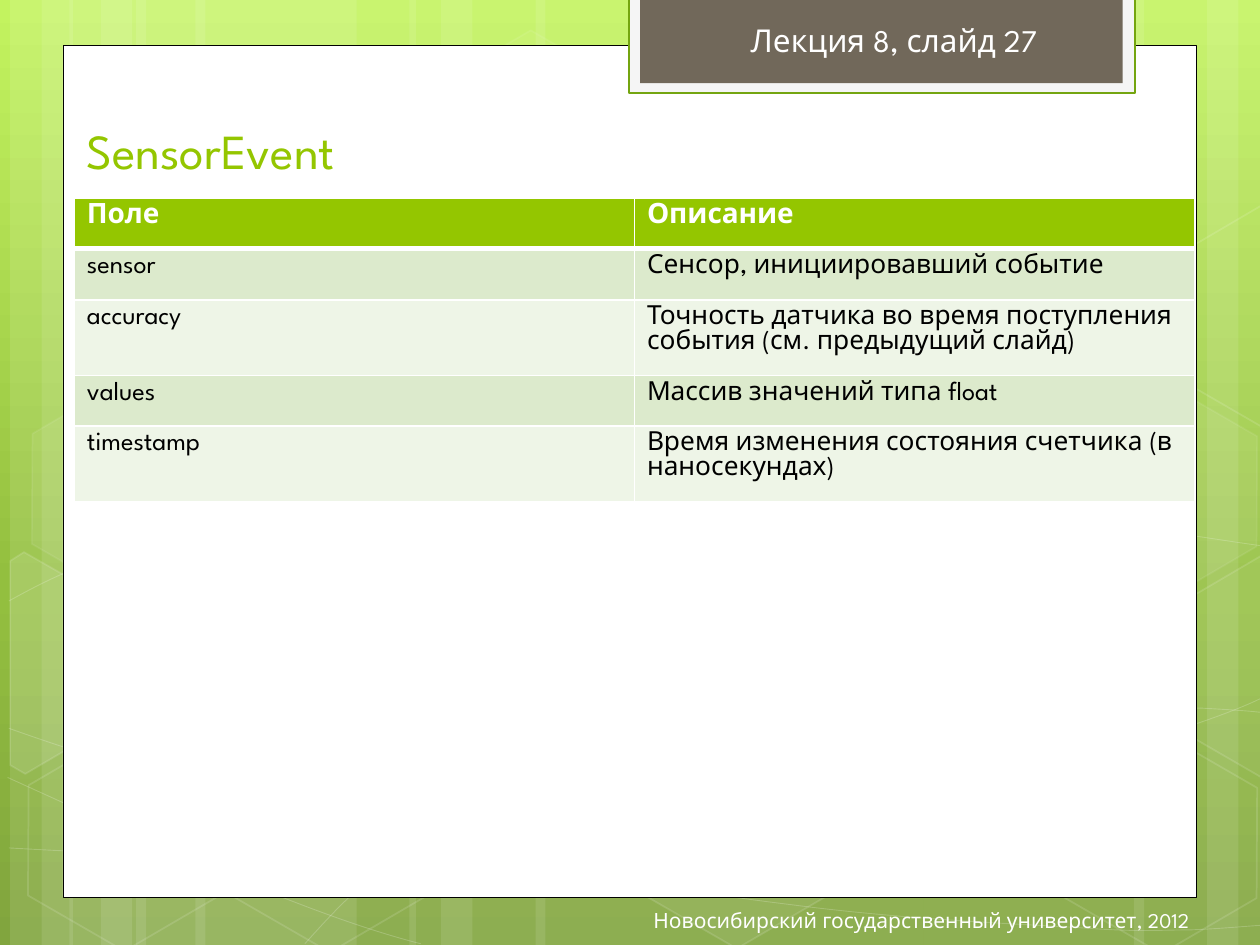
from copy import deepcopy
from math import cos, radians, sin

from lxml import etree
from pptx import Presentation
from pptx.dml.color import RGBColor
from pptx.enum.shapes import MSO_SHAPE
from pptx.enum.text import MSO_ANCHOR, MSO_AUTO_SIZE, PP_ALIGN
from pptx.oxml import parse_xml
from pptx.oxml.ns import nsdecls, qn
from pptx.util import Inches, Pt

RECTANGLE, HEXAGON = MSO_SHAPE.RECTANGLE, MSO_SHAPE.HEXAGON
TOP, MIDDLE, BOTTOM = MSO_ANCHOR.TOP, MSO_ANCHOR.MIDDLE, MSO_ANCHOR.BOTTOM
LEFT, RIGHT = PP_ALIGN.LEFT, PP_ALIGN.RIGHT
FONT = "League Spartan"
WHITE = RGBColor(0xFF, 0xFF, 0xFF)
BLACK = RGBColor(0, 0, 0)
GREEN = RGBColor(0x94, 0xC6, 0x00)
TAB_EDGE = RGBColor(0x74, 0xA5, 0x10)
TAB_PAPER = RGBColor(0xF5, 0xF5, 0xF5)
TAB_BROWN = RGBColor(0x71, 0x68, 0x5A)
BANDS = [RGBColor(0xDC, 0xEA, 0xCC), RGBColor(0xEE, 0xF5, 0xE7)]
BACKDROP = [(0, RGBColor(0xC3, 0xF3, 0x5F)),
            (0.62, RGBColor(0x93, 0xBF, 0x3F)),
            (1, RGBColor(0x81, 0xA5, 0x3E))]


def paint(shape, fill=None, fill_alpha=100, line=None, width=1, line_alpha=100):
    """Set fill and outline; alphas are percentages, None means no paint."""
    shape.shadow.inherit = False
    for target, color, alpha in ((shape.fill, fill, fill_alpha),
                                 (shape.line.fill, line, line_alpha)):
        if color is None:
            target.background()
            continue
        target.solid()
        target.fore_color.rgb = color
        if alpha < 100:
            props = shape.element.spPr
            parent = props if target is shape.fill else props.find(qn("a:ln"))
            rgb = parent.find(qn("a:solidFill")).find(qn("a:srgbClr"))
            etree.SubElement(rgb, qn("a:alpha"), val=str(alpha * 1000))
    if line is not None:
        shape.line.width = Pt(width)


def outline(points, closed):
    corners = [(Inches(x), Inches(y)) for x, y in points]
    builder = shapes.build_freeform(*corners[0])
    builder.add_line_segments(corners[1:], close=closed)
    return builder.convert_to_shape()


prs = Presentation()
prs.slide_width, prs.slide_height = Inches(10), Inches(7.5)
slide = prs.slides.add_slide(prs.slide_layouts[6])
shapes = slide.shapes

# Backdrop gradient, top to bottom
backdrop = slide.background.fill
backdrop.gradient()
backdrop.gradient_angle = 270
stop_list = next(slide.element.iter(qn("a:gsLst")))
stop_list.insert(1, deepcopy(stop_list[0]))
for stop, (position, color) in zip(backdrop.gradient_stops, BACKDROP):
    stop.position = position
    stop.color.rgb = color

# Translucent vertical stripes
STRIPES = [(1.08, 1.75), (0.08, 0.5), (0.33, 0.83), (1.55, 1.75), (0.55, 0.5), (0.8, 0.83),
           (7.33, 1.75), (9.58, 0.5), (9, 0.83), (4.25, 3.08), (3.25, 0.5), (3.5, 0.83)]
for left, width in STRIPES:
    stripe = shapes.add_shape(RECTANGLE, Inches(left), 0, Inches(width), prs.slide_height)
    paint(stripe, WHITE, 10)

# Thin waves: a start point, then two control points and an end point per bend
WAVES = [
    [(0.07, 6.73), (0.61, 6.76), (1.15, 6.79), (1.9, 6.78), (2.65, 6.77), (3.58, 6.75),
     (4.58, 6.65), (5.58, 6.55), (7, 6.36), (7.92, 6.17), (8.83, 5.98), (9.77, 5.68),
     (10.07, 5.51)],
    [(0.07, 4.77), (0.36, 4.61), (0.65, 4.46), (1.21, 4.31), (1.78, 4.16), (2.59, 3.94),
     (3.47, 3.87), (4.36, 3.8), (5.44, 3.79), (6.54, 3.87), (7.64, 3.95), (9.47, 4.26),
     (10.07, 4.34)],
    [(0.06, 6.17), (1.27, 6.72), (2.47, 7.27), (3.34, 7.49)],
    [(0.07, 5.78), (0.38, 5.89), (0.7, 6), (1.28, 6.16), (1.86, 6.31), (2.73, 6.56),
     (3.57, 6.73), (4.4, 6.9), (5.45, 7.08), (6.28, 7.18), (7.11, 7.29), (8, 7.33),
     (8.53, 7.36), (9.05, 7.4), (9.19, 7.38), (9.45, 7.38), (9.71, 7.37), (9.89, 7.35),
     (10.07, 7.34)],
    [(2.42, 7.49), (2.6, 7.29), (2.78, 7.09), (3.02, 6.91), (3.26, 6.73), (3.6, 6.53),
     (3.88, 6.39), (4.16, 6.25), (4.33, 6.19), (4.7, 6.09), (5.06, 5.99), (5.73, 5.85),
     (6.08, 5.78), (6.44, 5.71), (6.49, 5.71), (6.8, 5.69), (7.11, 5.66), (7.6, 5.63),
     (7.94, 5.62), (8.29, 5.61), (8.86, 5.62), (8.86, 5.62), (9.08, 5.62), (9.31, 5.62),
     (9.53, 5.62), (9.71, 5.63), (9.88, 5.64), (9.97, 5.65), (10.06, 5.66), (10.03, 5.65),
     (10.06, 5.66)],
]
for points in WAVES:
    wave = outline(points, False)
    # Merge every three straight segments into one Bézier bend
    segments = list(wave.element.iter(qn("a:lnTo")))
    track = segments[0].getparent()
    for i in range(0, len(segments), 3):
        bend = etree.SubElement(track, qn("a:cubicBezTo"))
        for segment in segments[i:i + 3]:
            bend.append(segment[0])
            track.remove(segment)
    paint(wave, line=WHITE, width=0.5, line_alpha=20)

# Hexagons: left, top, fill alpha (None for hollow), line alpha
TILT = 30
HEXAGONS = [(3.34, 0.36, 4, 8), (4.97, 5.89, 6, 12), (0.11, 5.91, None, 12),
            (0.14, 3.12, 7, 8), (1.74, 5.92, None, 12), (7.53, 4.53, 10, 12),
            (8.34, 5.93, None, 12), (8.34, 3.14, 7, 8)]
for left, top, fill_alpha, line_alpha in HEXAGONS:
    hexagon = shapes.add_shape(HEXAGON, Inches(left), Inches(top), Inches(1.75), Inches(1.52))
    hexagon.adjustments[0] = 0.285
    hexagon.rotation = TILT
    paint(hexagon, WHITE if fill_alpha else None, fill_alpha, WHITE, 1, line_alpha)

# Hexagons cut off by the slide edges: centre, corners as seen after tilting, fill alpha
CUT_HEXAGONS = [
    ((0.36, 5.35), [(0.08, 4.45), (0.19, 4.38), (0.96, 4.82), (0.95, 5.7), (0.2, 6.14),
                    (0.08, 6.07)], 10),
    ((9.85, 5.2), [(9.26, 4.85), (10.01, 4.41), (10.09, 4.46), (10.09, 6.13), (10.02, 6.17),
                   (9.26, 5.73)], 4),
    ((9.85, 2.41), [(9.26, 2.07), (10.01, 1.63), (10.1, 1.68), (10.09, 3.35), (10.02, 3.39),
                    (9.26, 2.95)], None),
]
cosine, sine = cos(radians(TILT)), sin(radians(TILT))
for (cx, cy), corners, fill_alpha in CUT_HEXAGONS:
    upright = [(cx + (x - cx) * cosine + (y - cy) * sine,
                cy - (x - cx) * sine + (y - cy) * cosine) for x, y in corners]
    cut_hexagon = outline(upright, True)
    cut_hexagon.rotation = TILT
    paint(cut_hexagon, WHITE if fill_alpha else None, fill_alpha, WHITE, 1, 12)

# White page and the tab hanging over its top edge
PANELS = [((0.5, 0.36, 9, 6.76), WHITE, BLACK, 0.5),
          ((4.99, -0.02, 4.02, 0.76), TAB_PAPER, TAB_EDGE, 1.25),
          ((5.08, -0.02, 3.83, 0.68), TAB_BROWN, None, 0)]
for box, fill, line, width in PANELS:
    panel = shapes.add_shape(RECTANGLE, *map(Inches, box))
    paint(panel, fill, line=line, width=width)

# Field table
ROWS = [("Поле", "Описание"),
        ("sensor", "Сенсор, инициировавший событие"),
        ("accuracy", "Точность датчика во время поступления события (см. предыдущий слайд)"),
        ("values", "Массив значений типа float"),
        ("timestamp", "Время изменения состояния счетчика (в наносекундах)")]
ROW_HEIGHTS = [0.4, 0.41, 0.6, 0.4, 0.6]
fields = shapes.add_table(len(ROWS), 2, Inches(0.59), Inches(1.57),
                          Inches(8.89), Inches(sum(ROW_HEIGHTS))).table
for r, (row, height) in enumerate(zip(ROWS, ROW_HEIGHTS)):
    fields.rows[r].height = Inches(height)
    header = r == 0
    for c, text in enumerate(row):
        cell = fields.cell(r, c)
        cell.text = text
        font = cell.text_frame.paragraphs[0].font
        font.name, font.size, font.bold = FONT, Pt(16 if header else 15), header
        font.color.rgb = WHITE if header else BLACK
        for side in "LRTB":
            thick = (header and side == "B") or (r == 1 and side == "T")
            cell._tc.get_or_add_tcPr().append(parse_xml(
                f'<a:ln{side} {nsdecls("a")} w="{Pt(3 if thick else 1)}"><a:solidFill>'
                f'<a:srgbClr val="{WHITE}"/></a:solidFill></a:ln{side}>'))
        cell.fill.solid()
        cell.fill.fore_color.rgb = GREEN if header else BANDS[(r - 1) % 2]

# Title, slide counter and footer
LABELS = [
    ("Лекция 8, слайд 27", (5.86, 0.12, 2.59, 0.4), 18, WHITE, LEFT, TOP, False),
    ("Новосибирский государственный университет, 2012", (3.11, 7.1, 6.43, 0.4),
     12, WHITE, RIGHT, MIDDLE, True),
    ("SensorEvent", (0.59, 0.68, 6.38, 0.79), 28, GREEN, LEFT, BOTTOM, True),
]
for text, box, size, color, align, anchor, wrap in LABELS:
    frame = shapes.add_textbox(*map(Inches, box)).text_frame
    frame.word_wrap = wrap
    frame.auto_size = MSO_AUTO_SIZE.NONE if wrap else MSO_AUTO_SIZE.SHAPE_TO_FIT_TEXT
    frame.vertical_anchor = anchor
    paragraph = frame.paragraphs[0]
    paragraph.text, paragraph.alignment = text, align
    paragraph.font.name, paragraph.font.size = FONT, Pt(size)
    paragraph.font.color.rgb = color

prs.save("out.pptx")
